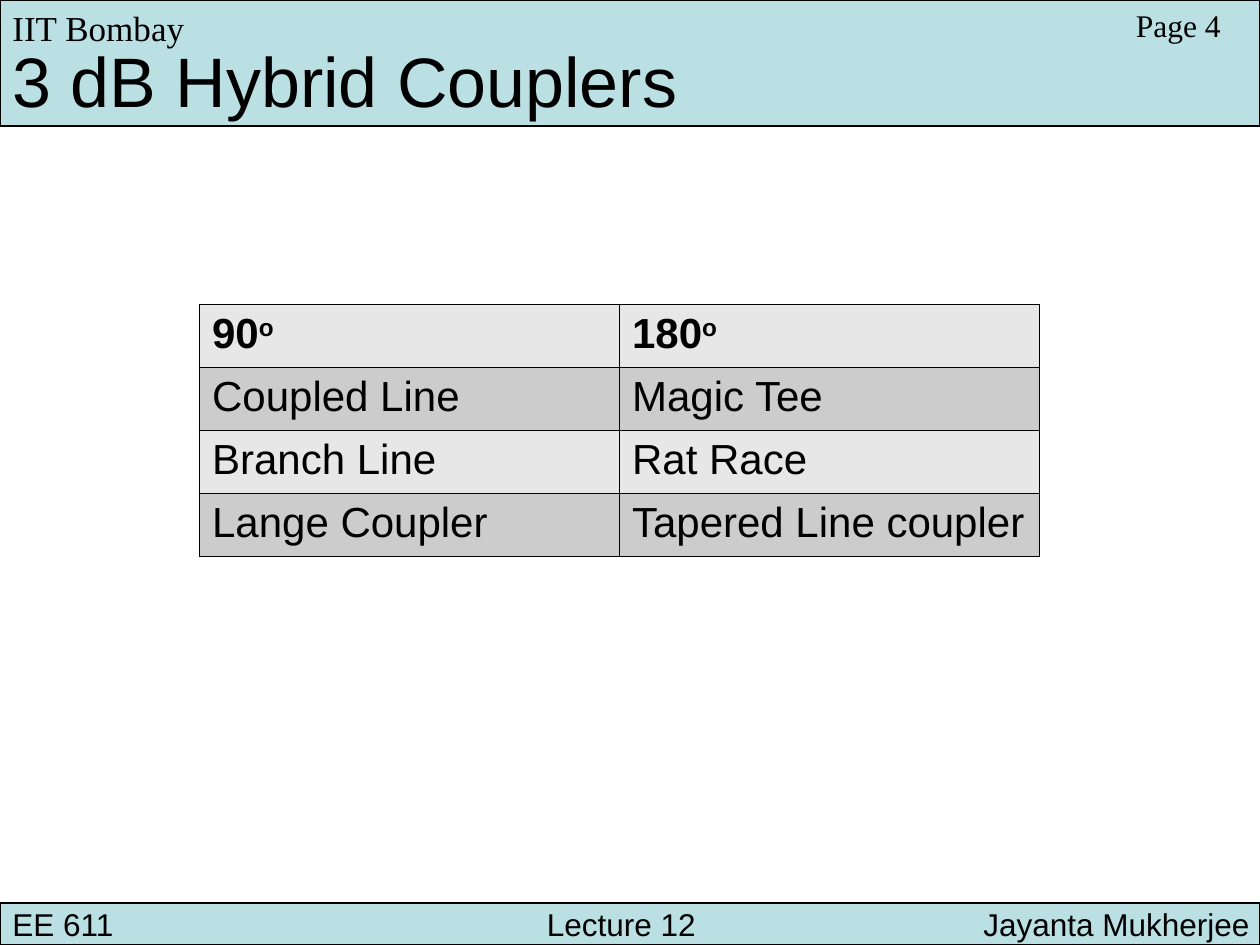
from dataclasses import dataclass

from lxml import etree
from pptx import Presentation
from pptx.dml.color import RGBColor
from pptx.enum.shapes import MSO_SHAPE
from pptx.enum.text import MSO_ANCHOR, PP_ALIGN
from pptx.oxml.ns import qn
from pptx.util import Pt

RECT = MSO_SHAPE.RECTANGLE
MIDDLE = MSO_ANCHOR.MIDDLE
LEFT = PP_ALIGN.LEFT


@dataclass(frozen=True)
class Theme:
    band: RGBColor = RGBColor(0xBB, 0xE0, 0xE3)
    ink: RGBColor = RGBColor(0, 0, 0)
    rows: tuple = (RGBColor(0xE7, 0xE7, 0xE7), RGBColor(0xCC, 0xCC, 0xCC))
    sans: str = "Arial"
    serif: str = "Times New Roman"
    title: int = 40
    cell: int = 24
    institute: int = 20
    small: int = 18


THEME = Theme()
WIDTH, HEIGHT = 720, 540
HEADER_H, FOOTER_H = 72, 24

# text, left, top, width, height, size, font
LABELS = [
    ("IIT Bombay", 0, 0, 120, 31, THEME.institute, THEME.serif),
    ("Page 4", 642, 0, 63, 29, THEME.small, THEME.serif),
    ("3 dB Hybrid Couplers", 0, 18, 398, 55, THEME.title, THEME.sans),
]
FOOTER = ["EE 611", "Lecture 12", "Jayanta Mukherjee"]
FOOTER_TABS = [("ctr", 348), ("r", 707)]

ANGLES = ["90", "180"]
DEGREE = "o"
COUPLERS = [
    ("Coupled Line", "Magic Tee"),
    ("Branch Line", "Rat Race"),
    ("Lange Coupler", "Tapered Line coupler"),
]
TABLE_LEFT, TABLE_TOP, COL_W, ROW_H = 114, 174, 240, 36


def style(p, size, font=THEME.sans, bold=False):
    p.alignment = LEFT
    p.font.size = Pt(size)
    p.font.name = font
    p.font.bold = bold
    p.font.color.rgb = THEME.ink


def add_band(slide, top, height):
    s = slide.shapes.add_shape(RECT, 0, Pt(top), Pt(WIDTH), Pt(height))
    s.shadow.inherit = False
    s.fill.solid()
    s.fill.fore_color.rgb = THEME.band
    s.line.color.rgb = THEME.ink
    s.line.width = Pt(0.75)
    return s


def add_label(slide, text, left, top, width, height, size, font):
    s = slide.shapes.add_textbox(Pt(left), Pt(top), Pt(width), Pt(height))
    p = s.text_frame.paragraphs[0]
    p.text = text
    style(p, size, font)


def add_footer(slide):
    """Add the bottom band, its parts set apart by tab stops."""
    tf = add_band(slide, HEIGHT - FOOTER_H, FOOTER_H).text_frame
    tf.vertical_anchor = MIDDLE
    tf.margin_top = tf.margin_bottom = tf.margin_right = 0
    p = tf.paragraphs[0]
    p.text = "\t".join(FOOTER)
    style(p, THEME.small)
    tabs = etree.Element(qn("a:tabLst"))
    for align, pos in FOOTER_TABS:
        etree.SubElement(tabs, qn("a:tab"), pos=str(Pt(pos)), algn=align)
    p._p.get_or_add_pPr().insert(0, tabs)


def add_borders(cell):
    """Draw the four cell edges; they must come before the fill in tcPr."""
    tcPr = cell._tc.get_or_add_tcPr()
    for i, edge in enumerate(("lnL", "lnR", "lnT", "lnB")):
        ln = etree.Element(qn(f"a:{edge}"), w=str(Pt(1)))
        fill = etree.SubElement(ln, qn("a:solidFill"))
        etree.SubElement(fill, qn("a:srgbClr"), val=str(THEME.ink))
        tcPr.insert(i, ln)


def add_coupler_table(slide):
    rows = [ANGLES, *COUPLERS]
    n_cols = len(ANGLES)
    table = slide.shapes.add_table(
        len(rows), n_cols, Pt(TABLE_LEFT), Pt(TABLE_TOP),
        Pt(n_cols * COL_W), Pt(len(rows) * ROW_H)).table
    for i, row in enumerate(rows):
        for j, text in enumerate(row):
            cell = table.cell(i, j)
            cell.fill.solid()
            cell.fill.fore_color.rgb = THEME.rows[i % 2]
            add_borders(cell)
            p = cell.text_frame.paragraphs[0]
            p.add_run().text = text
            if i == 0:
                r = p.add_run()
                r.text = DEGREE
                r.font._element.set("baseline", "30000")
            style(p, THEME.cell, bold=i == 0)


def main():
    prs = Presentation()
    prs.slide_width, prs.slide_height = Pt(WIDTH), Pt(HEIGHT)
    slide = prs.slides.add_slide(prs.slide_layouts[6])
    add_band(slide, 0, HEADER_H)
    add_footer(slide)
    for label in LABELS:
        add_label(slide, *label)
    add_coupler_table(slide)
    prs.save("out.pptx")


if __name__ == "__main__":
    main()
